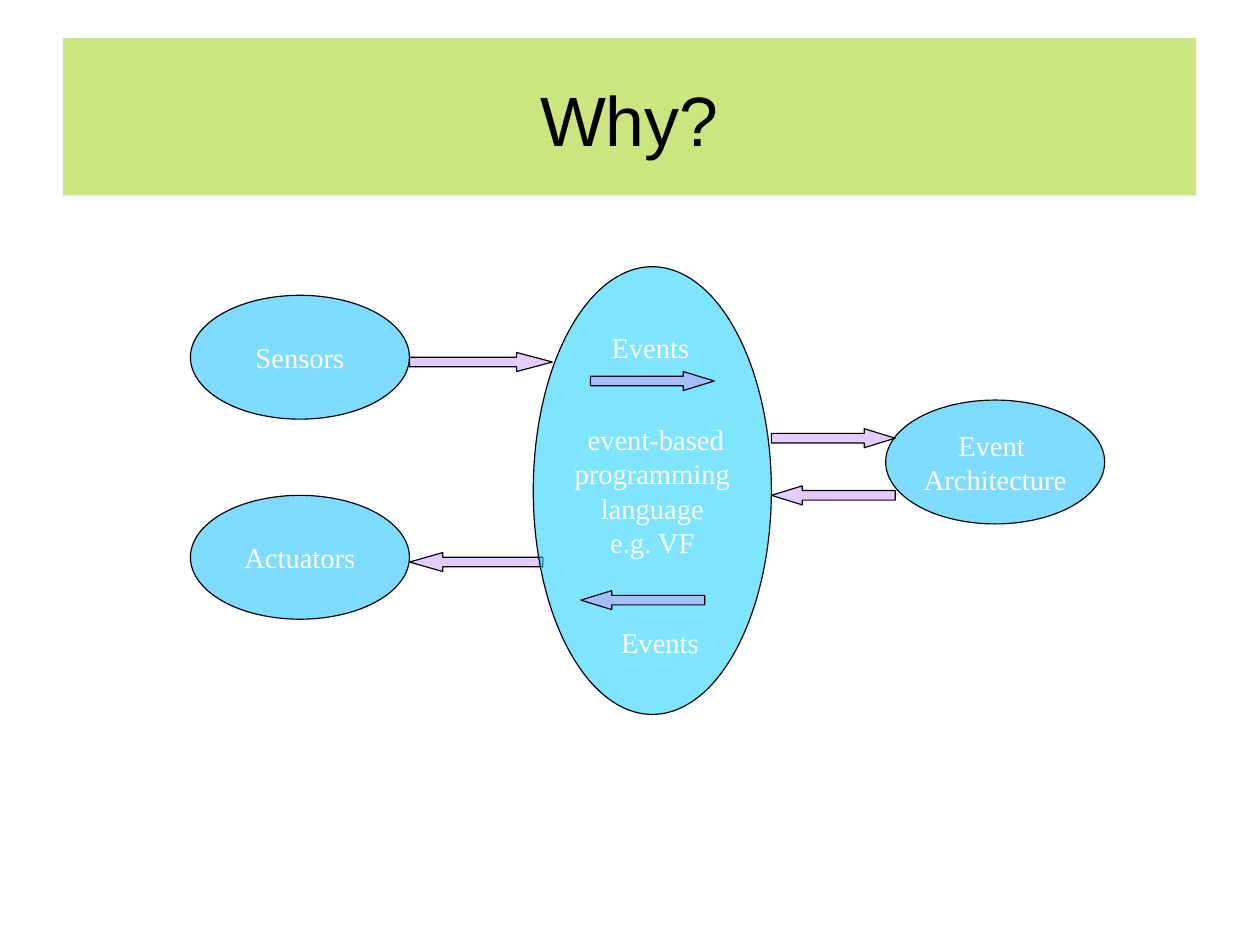
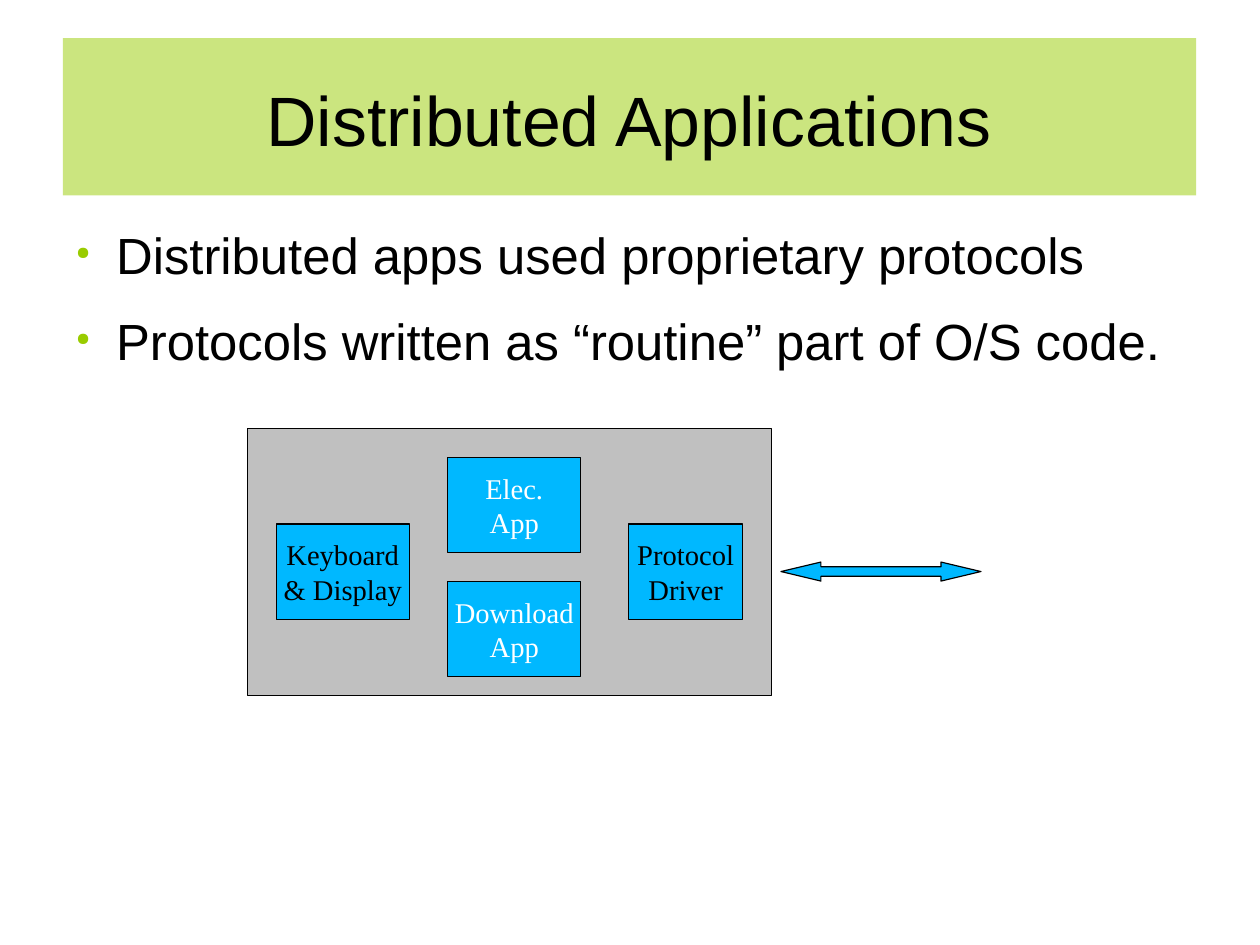
from lxml.etree import SubElement
from pptx import Presentation
from pptx.dml.color import RGBColor
from pptx.enum.shapes import MSO_SHAPE as SHAPE
from pptx.enum.text import MSO_ANCHOR as ANCHOR, PP_ALIGN as ALIGN
from pptx.oxml.ns import qn
from pptx.util import Pt

PX = 7620
LIME = RGBColor(0x99, 0xCC, 0x00)
BLUE = RGBColor(0x00, 0xB8, 0xFF)
CYAN = RGBColor(0x00, 0xCC, 0xFF)
LILAC = RGBColor(0xCC, 0x99, 0xFF)
GREY = RGBColor(0xC0, 0xC0, 0xC0)
BLACK = RGBColor(0x00, 0x00, 0x00)
WHITE = RGBColor(0xFF, 0xFF, 0xFF)
SANS, SERIF = "Arial", "Times New Roman"


def add_bullet(p):
    pPr = p._p.get_or_add_pPr()
    pPr.set("marL", str(56 * PX))
    pPr.set("indent", str(-42 * PX))
    color = SubElement(pPr, qn("a:buClr"))
    SubElement(color, qn("a:srgbClr"), val=str(LIME))
    SubElement(pPr, qn("a:buSzPct"), val="35000")
    SubElement(pPr, qn("a:buChar"), char="●")


def write(tf, text, font=SERIF, size=18, color=WHITE, align=ALIGN.CENTER,
          anchor=ANCHOR.MIDDLE, wrap=False, inset=(12, 6), spacing=None,
          after=None, bullet=False):
    tf.word_wrap = wrap
    tf.vertical_anchor = anchor
    tf.margin_left = tf.margin_right = inset[0] * PX
    tf.margin_top = tf.margin_bottom = inset[1] * PX
    for i, line in enumerate(text.split("\n")):
        p = tf.add_paragraph() if i else tf.paragraphs[0]
        p.alignment = align
        if spacing:
            p.line_spacing = spacing
        if after:
            p.space_after = Pt(after)
        if bullet:
            add_bullet(p)
        r = p.add_run()
        r.text = line
        r.font.name = font
        r.font.size = Pt(size)
        r.font.color.rgb = color


class Deck:
    def __init__(self, width, height):
        self.prs = Presentation()
        self.prs.slide_width = width * PX
        self.prs.slide_height = height * PX
        self.s = None

    def slide(self, title):
        self.s = self.prs.slides.add_slide(self.prs.slide_layouts[6])
        band = self.shape(SHAPE.RECTANGLE, 66, 40, 1190, 165, LIME, alpha=50, line=None)
        write(band.text_frame, title, font=SANS, size=44, color=BLACK,
              wrap=True, inset=(0, 0), spacing=1.04)

    def shape(self, kind, x, y, w, h, fill, alpha=100, line=BLACK):
        sp = self.s.shapes.add_shape(kind, x * PX, y * PX, w * PX, h * PX)
        sp.shadow.inherit = False
        sp.fill.solid()
        sp.fill.fore_color.rgb = fill
        if alpha < 100:
            rgb = sp._element.spPr.find(qn("a:solidFill")).find(qn("a:srgbClr"))
            SubElement(rgb, qn("a:alpha"), val=str(alpha * 1000))
        if line is None:
            sp.line.fill.background()
        else:
            sp.line.color.rgb = line
            sp.line.width = Pt(0.75)
        return sp

    def ellipse(self, text, x, y, w=230, h=130, fill=BLUE):
        sp = self.shape(SHAPE.OVAL, x, y, w, h, fill, alpha=50)
        write(sp.text_frame, text)

    def box(self, text, x, y, w=140, h=100, color=WHITE):
        sp = self.shape(SHAPE.RECTANGLE, x, y, w, h, BLUE)
        write(sp.text_frame, text, color=color)

    def arrow(self, kind, x, y, w=130, h=20, fill=LILAC, alpha=50, head=0.25):
        sp = self.shape(kind, x, y, w, h, fill, alpha)
        sp.adjustments[0] = 0.5
        sp.adjustments[1] = head * w / h

    def text(self, text, x, y, w, h, **style):
        sp = self.s.shapes.add_textbox(x * PX, y * PX, w * PX, h * PX)
        write(sp.text_frame, text, **style)

    def bullets(self, text):
        self.text(text, 66, 232, 1190, 178, font=SANS, size=32, color=BLACK,
                  align=ALIGN.LEFT, anchor=ANCHOR.TOP, wrap=True, inset=(0, 0),
                  spacing=1.04, after=14.3, bullet=True)


def why_slide(deck):
    deck.slide("Why?")
    deck.ellipse("Sensors", 200, 310)
    deck.ellipse("Actuators", 200, 520)
    deck.ellipse("Event \nArchitecture", 930, 420)
    deck.arrow(SHAPE.RIGHT_ARROW, 430, 370, w=150)
    deck.arrow(SHAPE.RIGHT_ARROW, 810, 450)
    deck.arrow(SHAPE.LEFT_ARROW, 430, 580, w=140)
    deck.arrow(SHAPE.LEFT_ARROW, 810, 510)
    deck.ellipse(" event-based\nprogramming\nlanguage\ne.g. VF", 560, 280, 250, 470, CYAN)
    deck.arrow(SHAPE.RIGHT_ARROW, 620, 390)
    deck.text("Events", 630, 340, 106, 48)
    deck.arrow(SHAPE.LEFT_ARROW, 610, 620)
    deck.text("Events", 640, 650, 106, 48)


def applications_slide(deck):
    deck.slide("Distributed Applications")
    deck.shape(SHAPE.RECTANGLE, 260, 450, 550, 280, GREY)
    deck.box("Protocol\nDriver", 660, 550, w=120, color=BLACK)
    deck.box("Elec.\nApp", 470, 480)
    deck.box("Download\nApp", 470, 610)
    deck.box("Keyboard\n& Display", 290, 550, color=BLACK)
    deck.arrow(SHAPE.LEFT_RIGHT_ARROW, 820, 590, w=210, fill=BLUE, alpha=100, head=0.2)
    deck.bullets("Distributed apps used proprietary protocols\n"
                 "Protocols written as “routine” part of O/S code.")


def main():
    deck = Deck(1323, 992)
    why_slide(deck)
    applications_slide(deck)
    deck.prs.save("out.pptx")


if __name__ == "__main__":
    main()
